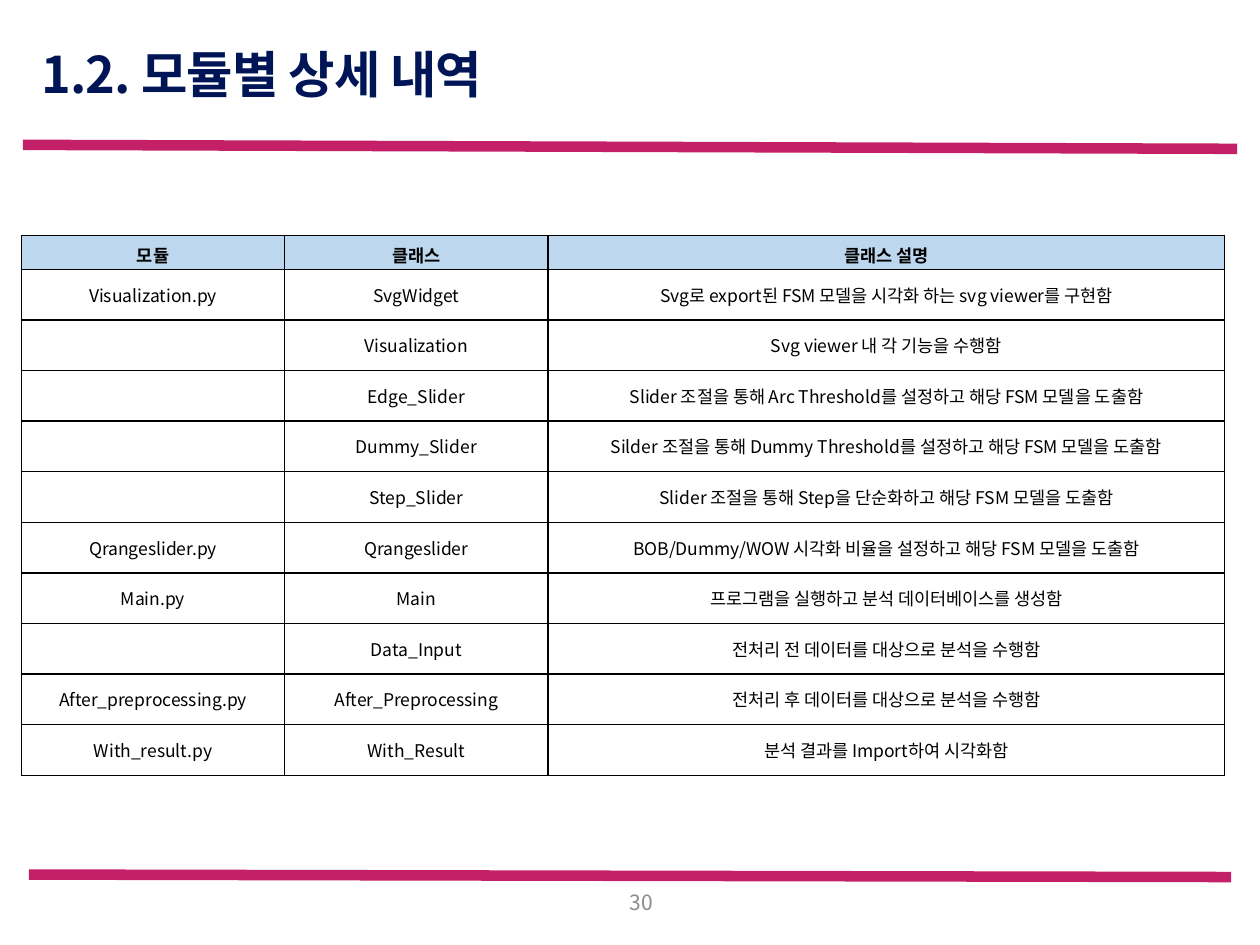
from lxml.etree import SubElement
from pptx import Presentation
from pptx.dml.color import RGBColor
from pptx.enum.shapes import MSO_CONNECTOR
from pptx.enum.text import MSO_ANCHOR, MSO_AUTO_SIZE, PP_ALIGN
from pptx.oxml.ns import qn
from pptx.util import Cm, Pt

FONT = "Noto Sans CJK KR"
MAGENTA = RGBColor(0xC4, 0x20, 0x67)
NAVY = RGBColor(0x00, 0x15, 0x55)
GRAY = RGBColor(0x8C, 0x8C, 0x8C)
BLACK = RGBColor(0x00, 0x00, 0x00)
HEADER_BLUE = RGBColor(0xBD, 0xD7, 0xEE)

COLUMN_WIDTHS = (5.31, 5.31, 13.64)
HEADER_HEIGHT = 0.64
ROW_HEIGHT = 1.02
MODULES = [
    ("모듈", "클래스", "클래스 설명"),
    ("Visualization.py", "SvgWidget", "Svg로 export된 FSM 모델을 시각화 하는 svg viewer를 구현함"),
    ("", "Visualization", "Svg viewer 내 각 기능을 수행함"),
    ("", "Edge_Slider", "Slider 조절을 통해 Arc Threshold를 설정하고 해당 FSM 모델을 도출함"),
    ("", "Dummy_Slider", "Silder 조절을 통해 Dummy Threshold를 설정하고 해당 FSM 모델을 도출함"),
    ("", "Step_Slider", "Slider 조절을 통해 Step을 단순화하고 해당 FSM 모델을 도출함"),
    ("Qrangeslider.py", "Qrangeslider", "BOB/Dummy/WOW 시각화 비율을 설정하고 해당 FSM 모델을 도출함"),
    ("Main.py", "Main", "프로그램을 실행하고 분석 데이터베이스를 생성함"),
    ("", "Data_Input", "전처리 전 데이터를 대상으로 분석을 수행함"),
    ("After_preprocessing.py", "After_Preprocessing", "전처리 후 데이터를 대상으로 분석을 수행함"),
    ("With_result.py", "With_Result", "분석 결과를 Import하여 시각화함"),
]


def format_text(paragraph, size, color, bold=False, align=PP_ALIGN.LEFT):
    paragraph.alignment = align
    for run in paragraph.runs:
        run.font.size = Pt(size)
        run.font.bold = bold
        run.font.name = FONT
        run.font.color.rgb = color
        SubElement(run.font._element, qn("a:ea"), typeface=FONT)
    if not paragraph.runs:
        SubElement(paragraph._p, qn("a:endParaRPr"), sz=str(size * 100))


def add_rule(slide, left, top, right, bottom):
    rule = slide.shapes.add_connector(
        MSO_CONNECTOR.STRAIGHT, Cm(left), Cm(top), Cm(right), Cm(bottom))
    rule.line.color.rgb = MAGENTA
    rule.line.width = Pt(6)
    SubElement(rule._element.spPr, qn("a:effectLst"))


def place_title(slide, left, top, width, height):
    title = slide.shapes.title
    title.left, title.top, title.width, title.height = map(Cm, (left, top, width, height))
    frame = title.text_frame
    frame.text = "1.2. 모듈별 상세 내역"
    frame.auto_size = MSO_AUTO_SIZE.NONE
    frame.vertical_anchor = MSO_ANCHOR.MIDDLE
    heading = frame.paragraphs[0]
    heading.line_spacing = 0.9
    format_text(heading, 28.8, NAVY, bold=True)
    heading.runs[0].font._element.set("spc", "-50")


def add_page_number(slide, left, top, width, height):
    page_number = slide.shapes.add_textbox(Cm(left), Cm(top), Cm(width), Cm(height))
    frame = page_number.text_frame
    frame.word_wrap = True
    frame.vertical_anchor = MSO_ANCHOR.MIDDLE
    frame.text = "30"
    format_text(frame.paragraphs[0], 12, GRAY, align=PP_ALIGN.RIGHT)


def add_borders(cell):
    properties = cell._tc.get_or_add_tcPr()
    for position, side in enumerate(("lnL", "lnR", "lnT", "lnB")):
        border = SubElement(properties, qn(f"a:{side}"), w=str(Pt(1)))
        properties.insert(position, border)
        fill = SubElement(border, qn("a:solidFill"))
        SubElement(fill, qn("a:srgbClr"), val=str(BLACK))


def add_module_table(slide, left, top):
    height = HEADER_HEIGHT + ROW_HEIGHT * (len(MODULES) - 1)
    table = slide.shapes.add_table(
        len(MODULES), len(COLUMN_WIDTHS), Cm(left), Cm(top),
        Cm(sum(COLUMN_WIDTHS)), Cm(height)).table
    table.horz_banding = False
    for column, width in zip(table.columns, COLUMN_WIDTHS):
        column.width = Cm(width)
    for row_index, (row, texts) in enumerate(zip(table.rows, MODULES)):
        is_header = row_index == 0
        row.height = Cm(HEADER_HEIGHT if is_header else ROW_HEIGHT)
        for cell, text in zip(row.cells, texts):
            if is_header:
                cell.fill.solid()
                cell.fill.fore_color.rgb = HEADER_BLUE
            else:
                cell.fill.background()
            add_borders(cell)
            cell.vertical_anchor = MSO_ANCHOR.MIDDLE
            cell.text_frame.text = text
            format_text(cell.text_frame.paragraphs[0], 10, BLACK, is_header, PP_ALIGN.CENTER)


def build_module_slide(presentation):
    slide = presentation.slides.add_slide(presentation.slide_layouts[5])
    add_rule(slide, 0.46, 2.92, 24.94, 3)
    add_rule(slide, 0.58, 17.63, 24.82, 17.68)
    place_title(slide, 0.58, 1.02, 23.9, 1.09)
    add_page_number(slide, 11.91, 17.91, 1.5, 0.56)
    add_module_table(slide, 0.43, 4.75)


presentation = Presentation()
presentation.slide_width = Cm(25.4)
presentation.slide_height = Cm(19.05)
build_module_slide(presentation)
presentation.save("out.pptx")
